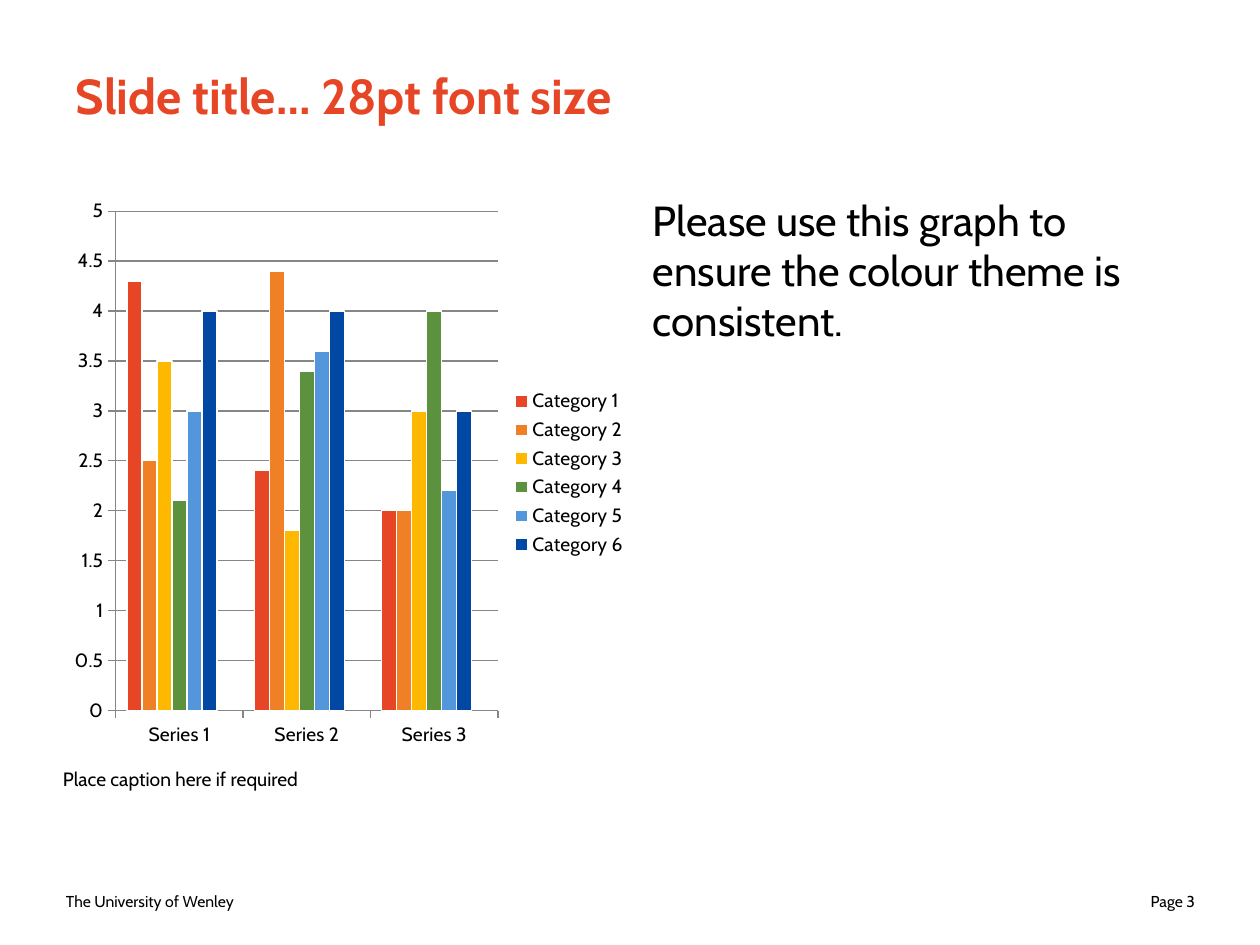
from lxml.etree import SubElement
from pptx import Presentation
from pptx.chart.data import CategoryChartData
from pptx.dml.color import RGBColor
from pptx.enum.chart import XL_CHART_TYPE as ChartType, XL_LEGEND_POSITION as LegendPosition
from pptx.enum.chart import XL_TICK_MARK as TickMark
from pptx.enum.text import MSO_ANCHOR as Anchor, PP_ALIGN as Align
from pptx.oxml.ns import qn
from pptx.util import Emu, Pt

FONT = "Cabin"
BLACK, WHITE, GREY, RED = "000000", "FFFFFF", "868686", "E64626"
PERIODS = ["Series 1", "Series 2", "Series 3"]
CATEGORIES = [
    ("Category 1", [4.3, 2.4, 2], RED),
    ("Category 2", [2.5, 4.4, 2], "EF8025"),
    ("Category 3", [3.5, 1.8, 3], "FFB800"),
    ("Category 4", [2.1, 3.4, 4], "5C923E"),
    ("Category 5", [3, 3.6, 2.2], "5496DB"),
    ("Category 6", [4, 4, 3], "0148A4"),
    ("Series 7", [None, None, None], RED),
]


def px(length):
    return Emu(round(length * 914400 / 126))


def rgb(value):
    return RGBColor.from_string(value)


def style_font(font, size, color=BLACK, bold=False):
    font.name = FONT
    font.size = Pt(size)
    font.bold = bold
    font.color.rgb = rgb(color)


def add_text(slide, box, wording, size, color=BLACK, bold=False, anchor=Anchor.TOP,
             align=Align.LEFT, before=0, insets=(13, 6, 13, 6)):
    frame = slide.shapes.add_textbox(*map(px, box)).text_frame
    frame.word_wrap = True
    frame.vertical_anchor = anchor
    frame.margin_left, frame.margin_top, frame.margin_right, frame.margin_bottom = map(px, insets)
    paragraph = frame.paragraphs[0]
    paragraph.alignment = align
    paragraph.space_before = Pt(before)
    run = paragraph.add_run()
    run.text = wording
    style_font(run.font, size, color, bold)


def style_line(line, color):
    line.color.rgb = rgb(color)
    line.width = Pt(0.75)


def hide_legend_entry(legend, index):
    entry = SubElement(legend._element, qn("c:legendEntry"))
    SubElement(entry, qn("c:idx")).set("val", str(index))
    SubElement(entry, qn("c:delete")).set("val", "1")
    legend._element.find(qn("c:legendPos")).addnext(entry)


def add_column_chart(slide, box):
    data = CategoryChartData()
    data.categories = PERIODS
    for name, values, _ in CATEGORIES:
        data.add_series(name, values)
    chart = slide.shapes.add_chart(ChartType.COLUMN_CLUSTERED, *map(px, box), data).chart
    chart.has_title = False
    style_font(chart.font, 11)

    plot = chart.plots[0]
    plot.gap_width = 150
    plot.vary_by_categories = False
    for series, (_, _, color) in zip(plot.series, CATEGORIES):
        series.format.fill.solid()
        series.format.fill.fore_color.rgb = rgb(color)
        style_line(series.format.line, WHITE)

    for axis in (chart.category_axis, chart.value_axis):
        axis.major_tick_mark = TickMark.OUTSIDE
        axis.minor_tick_mark = TickMark.NONE
        style_line(axis.format.line, GREY)
    scale = chart.value_axis
    scale.minimum_scale, scale.maximum_scale, scale.major_unit = 0, 5, 0.5
    scale.has_major_gridlines = True
    style_line(scale.major_gridlines.format.line, GREY)

    chart.has_legend = True
    chart.legend.position = LegendPosition.RIGHT
    chart.legend.include_in_layout = False
    hide_legend_entry(chart.legend, len(CATEGORIES) - 1)


def main():
    deck = Presentation()
    deck.slide_width, deck.slide_height = px(1260), px(945)
    slide = deck.slides.add_slide(deck.slide_layouts[6])

    add_text(slide, (53, 876, 294, 50), "The University of Wenley", 9, anchor=Anchor.MIDDLE)
    add_text(slide, (914, 876, 294, 50), "Page 3", 9, anchor=Anchor.MIDDLE, align=Align.RIGHT)
    add_column_chart(slide, (63, 188, 577, 570))
    add_text(slide, (63, 16, 1134, 158), "Slide title… 28pt font size", 28, RED, True, Anchor.MIDDLE)
    add_text(slide, (640, 188, 557, 624),
             "Please use this graph to ensure the colour theme is consistent.", 24, before=4.8)
    add_text(slide, (63, 757, 557, 74), "Place caption here if required", 11,
             before=2.2, insets=(0, 10, 10, 6))

    deck.save("out.pptx")


if __name__ == "__main__":
    main()
